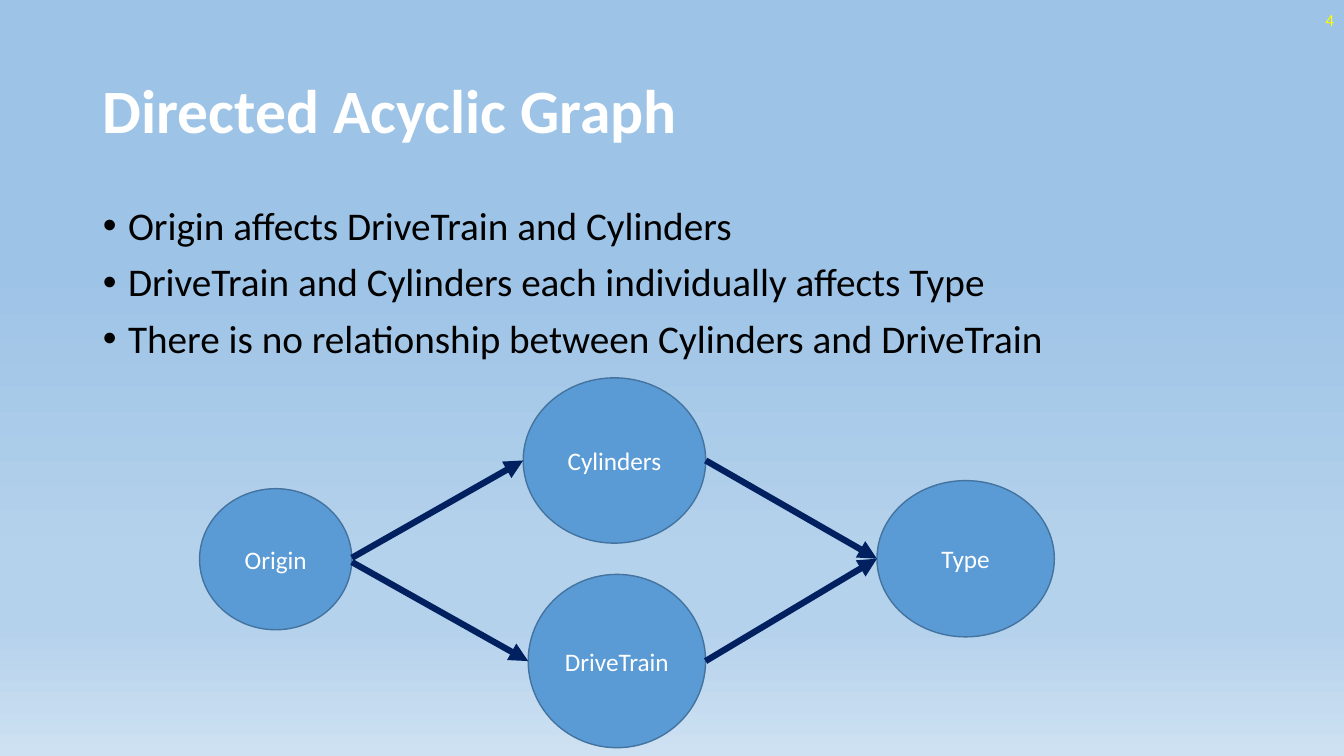
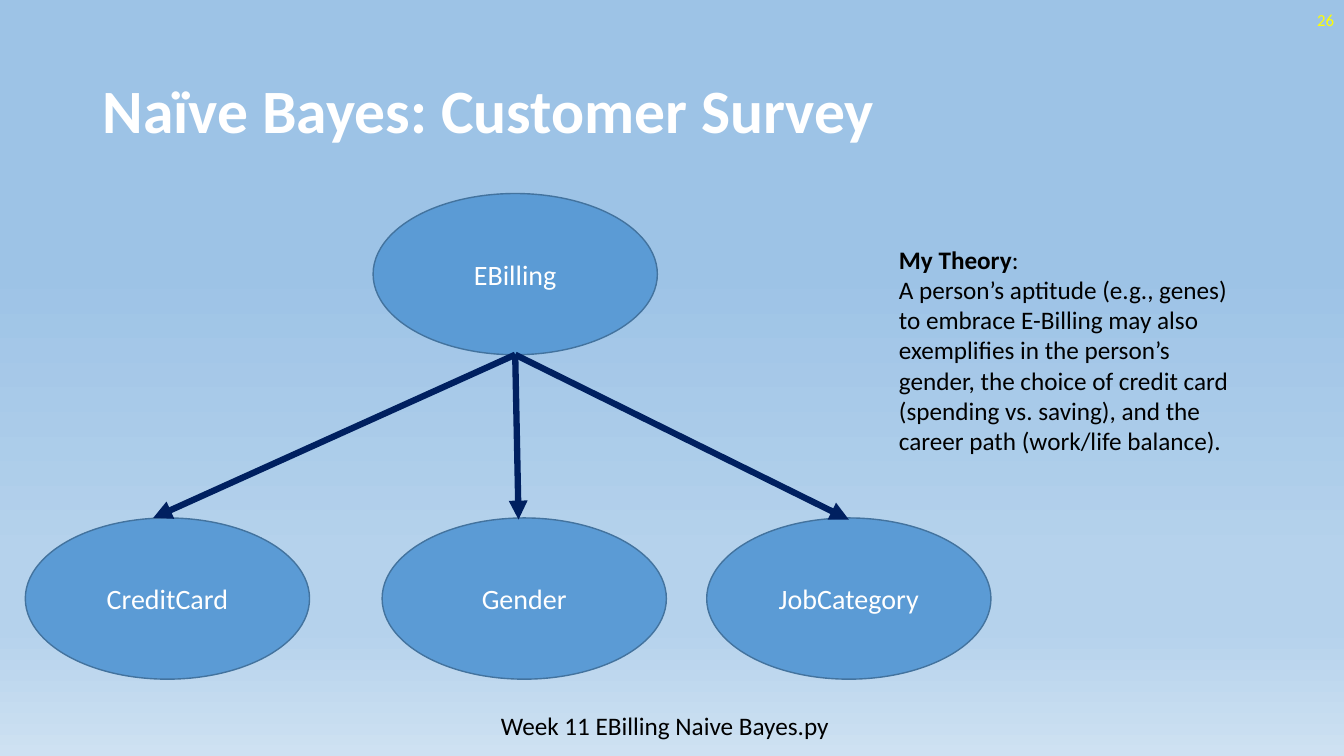
from copy import deepcopy

from lxml import etree
from pptx import Presentation
from pptx import util as u
from pptx.dml.color import RGBColor
from pptx.enum import shapes, text
from pptx.oxml import ns

SLIDE_WIDTH, SLIDE_HEIGHT = u.Inches(13.33), u.Inches(7.5)
CELL = SLIDE_WIDTH / 100

WHITE = RGBColor(0xFF, 0xFF, 0xFF)
BLACK = RGBColor(0x00, 0x00, 0x00)
YELLOW = RGBColor(0xFF, 0xFF, 0x00)
NODE_FILL = RGBColor(0x5B, 0x9B, 0xD5)
NODE_LINE = RGBColor(0x43, 0x73, 0x9E)
ARROW = RGBColor(0x00, 0x20, 0x60)
SKY = RGBColor(0x9D, 0xC3, 0xE6)
HAZE = RGBColor(0xB5, 0xD2, 0xEC)
MIST = RGBColor(0xCE, 0xE1, 0xF2)
BACKDROP = [(0.35, SKY), (0.74, HAZE), (0.83, HAZE), (1, MIST)]

FONT = "Calibri"
TITLE_BOX = (6.9, 3, 86.25, 10.88)
BODY_BOX = (6.9, 15, 86.25, 35.7)
NUMBER_BOX = (77.5, 0, 22.5, 3)
LEFT, RIGHT, TOP, BOTTOM = (0, 0.5), (1, 0.5), (0.5, 0), (0.5, 1)


def cells(*counts):
    """Turn counts of grid cells into slide lengths."""
    return [u.Emu(round(count * CELL)) for count in counts]


def write(frame, paragraphs, size, color, bold=False, align=text.PP_ALIGN.LEFT,
          anchor=text.MSO_ANCHOR.TOP, wrap=True, spacing=None, before=0, indent=None):
    """Fill a text frame with paragraphs, each a string or a list of (text, bold) spans."""
    frame.auto_size = text.MSO_AUTO_SIZE.NONE
    frame.word_wrap = wrap
    frame.vertical_anchor = anchor
    for index, content in enumerate(paragraphs):
        para = frame.add_paragraph() if index else frame.paragraphs[0]
        para.alignment = align
        para.space_before = u.Pt(before)
        if spacing:
            para.line_spacing = spacing
        if indent:
            properties = para._p.get_or_add_pPr()
            properties.set("marL", str(u.Inches(indent)))
            properties.set("indent", str(-u.Inches(indent)))
        spans = [(content, bold)] if isinstance(content, str) else content
        for words, heavy in spans:
            span = para.add_run()
            span.text = words
            span.font.name, span.font.size = FONT, u.Pt(size)
            span.font.bold, span.font.color.rgb = heavy, color


def add_text(page, box, paragraphs, **style):
    """Add a text box at a grid box."""
    write(page.shapes.add_textbox(*cells(*box)).text_frame, paragraphs, **style)


def set_up_master(master):
    """Give the master its gradient and its placeholder positions."""
    fill = master.background.fill
    fill.gradient()
    fill.gradient_angle = 270
    stop_list = fill.gradient_stops[0]._gs.getparent()
    while len(stop_list) < len(BACKDROP):
        stop_list.append(deepcopy(stop_list[0]))
    for stop, (position, color) in zip(fill.gradient_stops, BACKDROP):
        stop.position, stop.color.rgb = position, color
    for holder, box in zip(master.placeholders, (TITLE_BOX, BODY_BOX)):
        holder.left, holder.top, holder.width, holder.height = cells(*box)


def add_page(deck, layout, title, number):
    """Add a slide with its title and its slide number."""
    page = deck.slides.add_slide(deck.slide_layouts.get_by_name(layout))
    write(page.shapes.title.text_frame, [title], size=44, color=WHITE, bold=True,
          anchor=text.MSO_ANCHOR.MIDDLE, spacing=0.9)
    add_text(page, NUMBER_BOX, [number], size=12, color=YELLOW,
             align=text.PP_ALIGN.RIGHT, anchor=text.MSO_ANCHOR.MIDDLE)
    return page


def add_node(page, box, label, size):
    """Add a labelled ellipse."""
    node = page.shapes.add_shape(shapes.MSO_SHAPE.OVAL, *cells(*box))
    node.shadow.inherit = False
    node.fill.solid()
    node.fill.fore_color.rgb = NODE_FILL
    node.line.color.rgb, node.line.width = NODE_LINE, u.Pt(1)
    write(node.text_frame, [label], size=size, color=WHITE,
          align=text.PP_ALIGN.CENTER, anchor=text.MSO_ANCHOR.MIDDLE)
    return node


def point_on(node, share):
    """Find the point at a share of a node's width and height."""
    return (u.Emu(round(node.left + share[0] * node.width)),
            u.Emu(round(node.top + share[1] * node.height)))


def add_arrow(page, start, end):
    """Add a straight arrow between two points."""
    arrow = page.shapes.add_connector(shapes.MSO_CONNECTOR.STRAIGHT, *start, *end)
    arrow.line.color.rgb, arrow.line.width = ARROW, u.Pt(4.5)
    etree.SubElement(arrow.line._get_or_add_ln(), ns.qn("a:tailEnd"), type="triangle")
    etree.SubElement(arrow._element.spPr, ns.qn("a:effectLst"))


def add_graph(page, corner, nodes, edges, size):
    """Draw nodes placed relative to a corner and the arrows between them."""
    drawn = {}
    for label, (left, top, width, height) in nodes.items():
        box = (corner[0] + left, corner[1] + top, width, height)
        drawn[label] = add_node(page, box, label, size)
    for source, exit_share, target, entry_share in edges:
        add_arrow(page, point_on(drawn[source], exit_share),
                  point_on(drawn[target], entry_share))


def build_acyclic_graph(deck):
    """Build the slide on the directed acyclic graph."""
    page = add_page(deck, "Title and Content", "Directed Acyclic Graph", "4")
    write(page.placeholders[1].text_frame, [
        "Origin affects DriveTrain and Cylinders",
        "DriveTrain and Cylinders each individually affects Type",
        "There is no relationship between Cylinders and DriveTrain",
    ], size=28, color=BLACK, spacing=0.9, before=10, indent=0.25)
    nodes = {
        "Origin": (0, 8.25, 11.33, 10.5),
        "Cylinders": (24.08, 0, 13.58, 12.3),
        "DriveTrain": (24.45, 14.63, 13.2, 12.9),
        "Type": (50.4, 7.65, 13.2, 11.63),
    }
    edges = [
        ("Origin", (1, 0.49), "Cylinders", LEFT),
        ("DriveTrain", RIGHT, "Type", LEFT),
        ("Origin", (1, 0.52), "DriveTrain", LEFT),
        ("Cylinders", RIGHT, "Type", LEFT),
    ]
    add_graph(page, (14.85, 28.12), nodes, edges, size=18)


def build_customer_survey(deck):
    """Build the slide on the customer survey."""
    page = add_page(deck, "Title Only", "Naïve Bayes: Customer Survey", "26")
    width, height, leaf_top = 21.15, 12, 24.15
    nodes = {
        "EBilling": (25.88, 0, width, height),
        "CreditCard": (0, leaf_top, width, height),
        "Gender": (26.55, leaf_top, width, height),
        "JobCategory": (50.7, leaf_top, width, height),
    }
    entries = {"Gender": (0.48, 0.01), "JobCategory": (0.5, 0.01), "CreditCard": (0.45, 0)}
    edges = [("EBilling", BOTTOM, leaf, entry) for leaf, entry in entries.items()]
    add_graph(page, (1.88, 14.4), nodes, edges, size=20)
    add_text(page, (66.15, 17.78, 26.93, 16.65), [
        [("My Theory", True), (":", False)],
        "A person’s aptitude (e.g., genes) to embrace E-Billing may also exemplifies "
        "in the person’s gender, the choice of credit card (spending vs. saving), "
        "and the career path (work/life balance).",
    ], size=18, color=BLACK)
    add_text(page, (36.53, 52.5, 26.18, 3), ["Week 11 EBilling Naive Bayes.py"],
             size=18, color=BLACK, wrap=False)


def main():
    """Build and save the deck."""
    deck = Presentation()
    deck.slide_width, deck.slide_height = SLIDE_WIDTH, SLIDE_HEIGHT
    set_up_master(deck.slide_master)
    build_acyclic_graph(deck)
    build_customer_survey(deck)
    deck.save("out.pptx")


if __name__ == "__main__":
    main()
